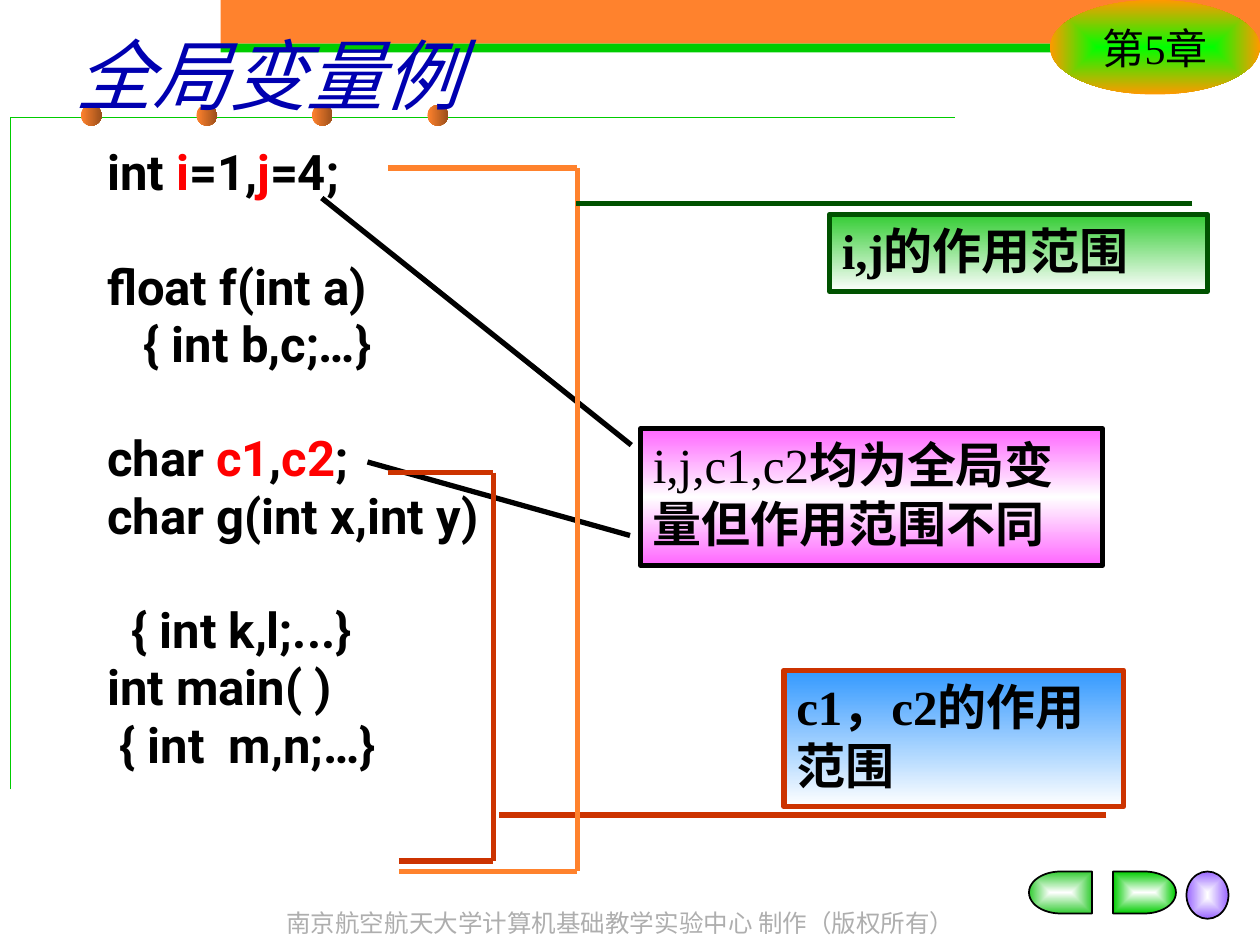
from dataclasses import dataclass
from typing import Optional

from lxml.etree import SubElement
from pptx import Presentation
from pptx.dml.color import RGBColor
from pptx.enum.shapes import MSO_CONNECTOR, MSO_SHAPE
from pptx.enum.text import MSO_ANCHOR, MSO_AUTO_SIZE, PP_ALIGN
from pptx.oxml.ns import qn
from pptx.util import Pt

SERIF, SANS = "Times New Roman", "Roboto"
BLACK, WHITE, ORANGE, GREEN, RUST = "000000", "FFFFFF", "FF822D", "00CC00", "CC3300"


@dataclass
class Box:
    x: float
    y: float
    w: float
    h: float

    def emu(self) -> tuple:
        return Pt(self.x), Pt(self.y), Pt(self.w), Pt(self.h)


@dataclass
class Gradient:
    stops: list  # hex colours, evenly spaced
    angle: Optional[int] = None  # None radiates from the centre


@dataclass
class Callout:
    box: Box
    leader: tuple  # y1, x1, y2, x2 as fractions of the box
    fill: Gradient
    line: str
    runs: list  # (text, bold)


@dataclass
class Bracket:
    top: float
    bottom: float
    left_top: float
    left_bottom: float
    right: float
    color: str


@dataclass
class CodeLine:
    text: str  # parts between * are highlighted
    gap: bool = False


def rgb(color: str) -> RGBColor:
    return RGBColor.from_string(color)


def fill_gradient(sp, grad: Gradient) -> None:
    sp.fill.gradient()
    gf = sp._element.spPr.find(qn("a:gradFill"))
    for child in list(gf):
        gf.remove(child)
    stops = SubElement(gf, qn("a:gsLst"))
    for i, color in enumerate(grad.stops):
        gs = SubElement(stops, qn("a:gs"), pos=str(100000 * i // (len(grad.stops) - 1)))
        SubElement(gs, qn("a:srgbClr"), val=color)
    if grad.angle is None:
        centre = SubElement(gf, qn("a:path"), path="shape")
        SubElement(centre, qn("a:fillToRect"), {side: "50000" for side in "ltrb"})
    else:
        SubElement(gf, qn("a:lin"), ang=str(grad.angle * 60000), scaled="0")


def set_line(sp, color: str, width: float) -> None:
    sp.line.color.rgb = rgb(color)
    sp.line.width = Pt(width)


def add_shape(s, kind, box: Box, fill, line: str = "", width: float = 1):
    sp = s.shapes.add_shape(kind, *box.emu())
    sp.shadow.inherit = False
    if isinstance(fill, Gradient):
        fill_gradient(sp, fill)
    else:
        sp.fill.solid()
        sp.fill.fore_color.rgb = rgb(fill)
    if line:
        set_line(sp, line, width)
    else:
        sp.line.fill.background()
    return sp


def add_run(p, text: str, color: str = BLACK, **font) -> None:
    r = p.add_run()
    r.text = text
    r.font.color.rgb = rgb(color)
    for name, value in font.items():
        setattr(r.font, name, value)


def format_frame(tf, **values) -> None:
    for name, value in values.items():
        setattr(tf, name, value)


def add_line(s, x1: float, y1: float, x2: float, y2: float, color: str) -> None:
    line = s.shapes.add_connector(MSO_CONNECTOR.STRAIGHT, Pt(x1), Pt(y1), Pt(x2), Pt(y2))
    set_line(line, color, 3)
    SubElement(line._element.spPr, qn("a:effectLst"))


def add_bracket(s, b: Bracket) -> None:
    add_line(s, b.left_top, b.top, b.right, b.top, b.color)
    add_line(s, b.right, b.top, b.right, b.bottom, b.color)
    add_line(s, b.left_bottom, b.bottom, b.right, b.bottom, b.color)


def add_callout(s, c: Callout) -> None:
    sp = add_shape(s, MSO_SHAPE.LINE_CALLOUT_1, c.box, c.fill, c.line, 3)
    for i, value in enumerate(c.leader):
        sp.adjustments[i] = value
    format_frame(sp.text_frame, word_wrap=True, vertical_anchor=MSO_ANCHOR.TOP)
    p = sp.text_frame.paragraphs[0]
    p.alignment = PP_ALIGN.LEFT
    for text, bold in c.runs:
        add_run(p, text, size=Pt(28), name=SERIF, bold=bold)


def add_background(s) -> None:
    # Top bands
    add_shape(s, MSO_SHAPE.RECTANGLE, Box(126, 0, 594, 25), ORANGE)
    add_shape(s, MSO_SHAPE.RECTANGLE, Box(126, 25, 594, 5), GREEN)
    # Corner rule with beads
    builder = s.shapes.build_freeform(Pt(6), Pt(451))
    builder.add_line_segments([(Pt(6), Pt(67)), (Pt(546), Pt(67))], close=False)
    rule = builder.convert_to_shape()
    rule.shadow.inherit = False
    rule.fill.background()
    set_line(rule, GREEN, 0.75)
    for i in range(4):
        add_shape(s, MSO_SHAPE.OVAL, Box(46.3 + 66 * i, 60, 11.8, 11.8),
                  Gradient([ORANGE, "9B4F1B"], 0))
    # Chapter badge
    badge = add_shape(s, MSO_SHAPE.OVAL, Box(600, 0, 120, 54), Gradient(["00FF00", "FF9900"]))
    format_frame(badge.text_frame, word_wrap=False, vertical_anchor=MSO_ANCHOR.MIDDLE)
    p = badge.text_frame.paragraphs[0]
    p.alignment = PP_ALIGN.CENTER
    add_run(p, "第5章", size=Pt(24), name=SERIF)
    # Navigation buttons
    for kind, box, color, turn in (
        (MSO_SHAPE.FLOWCHART_DELAY, Box(636, 498, 36, 24), GREEN, 0),
        (MSO_SHAPE.FLOWCHART_DELAY, Box(588, 498, 36, 24), "33CC33", 180),
        (MSO_SHAPE.OVAL, Box(678, 498, 24, 27), "9966FF", 0),
    ):
        add_shape(s, kind, box, Gradient([WHITE, color]), BLACK).rotation = turn
    # Footer
    tf = s.shapes.add_textbox(*Box(138, 515.5, 433.5, 24).emu()).text_frame
    tf.word_wrap = True
    p = tf.paragraphs[0]
    p.alignment = PP_ALIGN.CENTER
    add_run(p, "南京航空航天大学计算机基础教学实验中心 制作（版权所有）", "AEAEAE",
            size=Pt(14), name=SERIF)


def place(s, sp, box: Box) -> None:
    """Bring a placeholder in front of the background and position it."""
    s.shapes._spTree.append(sp._element)
    sp.left, sp.top, sp.width, sp.height = box.emu()
    format_frame(sp.text_frame, word_wrap=True, auto_size=MSO_AUTO_SIZE.NONE)


def add_code(tf, lines: list) -> None:
    for i, line in enumerate(lines):
        p = tf.add_paragraph() if i else tf.paragraphs[0]
        pPr = p._p.get_or_add_pPr()
        pPr.set("marL", str(Pt(27)))
        pPr.set("indent", str(Pt(-27)))
        SubElement(pPr, qn("a:buNone"))
        p.line_spacing = 0.8
        p.space_before = Pt(0 if i == 0 else 38.4 if line.gap else 5.9)
        for j, part in enumerate(line.text.split("*")):
            add_run(p, part, "FF0000" if j % 2 else BLACK, size=Pt(28), name=SANS, bold=True)


CODE = [
    CodeLine("int *i*=1,*j*=4;"),
    CodeLine("float f(int a)", gap=True),
    CodeLine("   { int b,c;…}"),
    CodeLine("char *c1*,*c2*;", gap=True),
    CodeLine("char g(int x,int y)"),
    CodeLine("  { int k,l;...}", gap=True),
    CodeLine("int main( )"),
    CodeLine(" { int  m,n;…}"),
]
GLOBALS_NOTE = Callout(Box(366, 245, 264, 78), (0.12, -0.02, -1.69, -0.69),
                       Gradient(["FF66FF", WHITE, "FF66FF"], 90), BLACK,
                       [("i,j,c1,c2", False), ("均为全局变量但作用范围不同", True)])
C_SCOPE_NOTE = Callout(Box(448, 383, 194, 78), (1.06, 0.95, 1.06, -0.84),
                       Gradient(["3399FF", WHITE], 90), RUST, [("c1，c2的作用范围", True)])
IJ_SCOPE_NOTE = Callout(Box(474, 122.5, 216, 44), (-0.14, 0.96, -0.14, -0.67),
                        Gradient(["33CC33", WHITE], 90), "005200", [("i,j的作用范围", True)])


def main() -> None:
    prs = Presentation()
    prs.slide_width, prs.slide_height = Pt(720), Pt(540)
    s = prs.slides.add_slide(prs.slide_layouts[1])
    title, body = s.shapes.title, s.placeholders[1]
    add_background(s)
    # Title and code
    place(s, title, Box(36, 12, 612, 60))
    title.text_frame.vertical_anchor = MSO_ANCHOR.MIDDLE
    p = title.text_frame.paragraphs[0]
    p.alignment = PP_ALIGN.LEFT
    add_run(p, "全局变量例", "0000B0", size=Pt(44), name=SANS, italic=True)
    place(s, body, Box(54, 84, 240, 432))
    add_code(body.text_frame, CODE)
    # Scope brackets and their notes
    add_callout(s, GLOBALS_NOTE)
    add_line(s, 210, 264, 360, 306, BLACK)
    add_bracket(s, Bracket(270, 492, 222, 228, 282, RUST))
    add_callout(s, C_SCOPE_NOTE)
    add_bracket(s, Bracket(96, 498, 222, 228, 330, ORANGE))
    add_callout(s, IJ_SCOPE_NOTE)
    prs.save("out.pptx")


if __name__ == "__main__":
    main()
